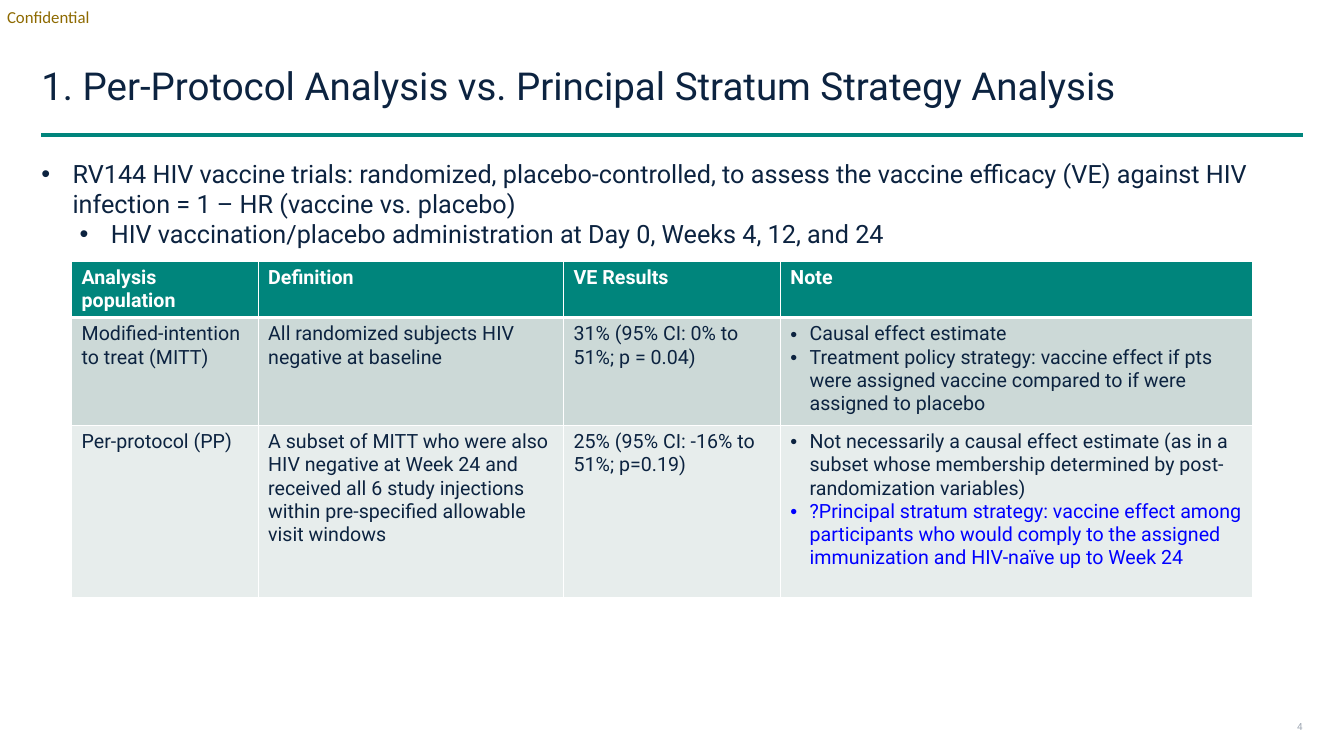
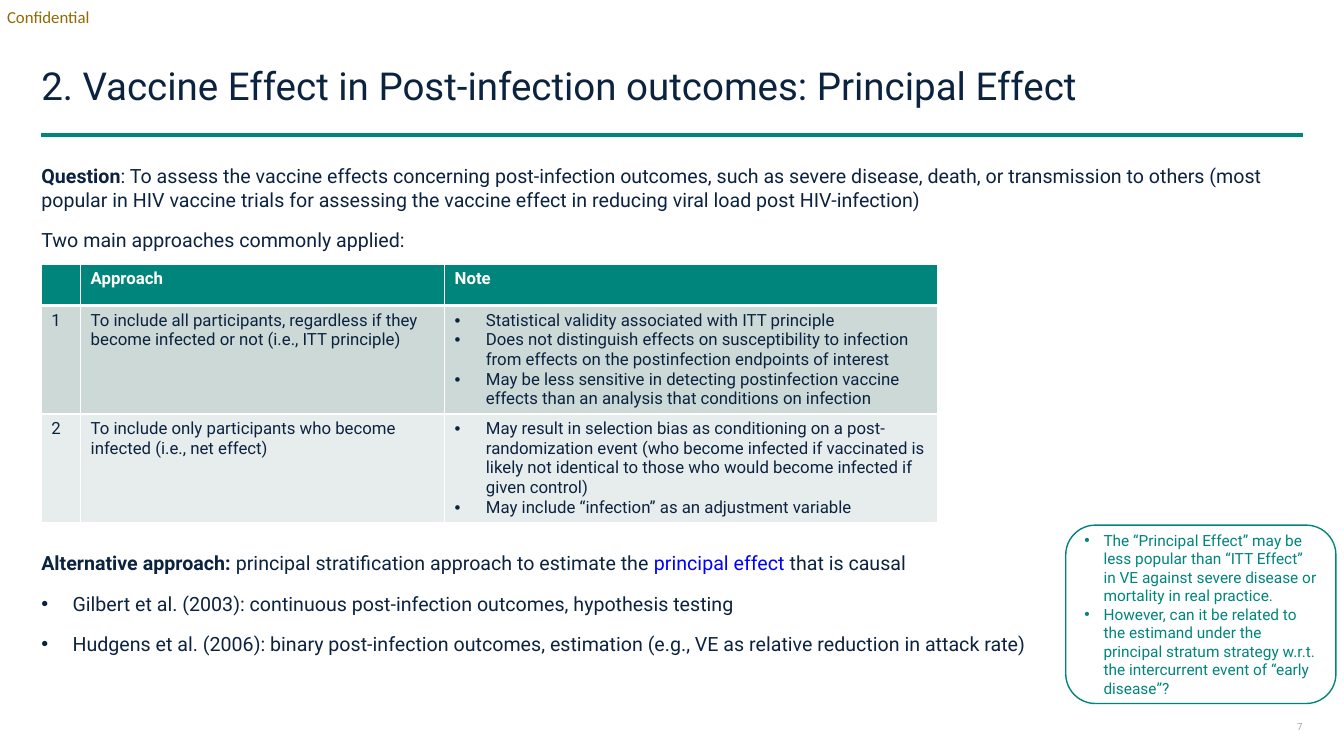
from dataclasses import dataclass

from lxml.etree import SubElement
from pptx import Presentation
from pptx.dml.color import RGBColor
from pptx.enum.shapes import MSO_CONNECTOR, MSO_SHAPE
from pptx.enum.text import MSO_ANCHOR, MSO_AUTO_SIZE, PP_ALIGN
from pptx.oxml.ns import qn
from pptx.util import Pt

PX = 9144  # one hundredth of an inch
SLIDE_WIDTH, SLIDE_HEIGHT = 1333, 750
LEFT, CONTENT_WIDTH = 41, 1251
TITLE_ONLY = 5

TEAL = RGBColor(0x00, 0x85, 0x7C)
NAVY = RGBColor(0x0C, 0x23, 0x40)
GOLD = RGBColor(0x8E, 0x6A, 0x00)
GRAY = RGBColor(0x9E, 0xA7, 0xB3)
BLUE = RGBColor(0x00, 0x00, 0xFF)
WHITE = RGBColor(0xFF, 0xFF, 0xFF)
BAND_FILLS = (RGBColor(0xCC, 0xD9, 0xD7), RGBColor(0xE7, 0xED, 0xEC))

NO_MARGINS = dict.fromkeys(("margin_left", "margin_top", "margin_right", "margin_bottom"), 0)
BODY_FRAME = {"word_wrap": True, "auto_size": MSO_AUTO_SIZE.NONE, **NO_MARGINS}
MIDDLE_FRAME = {**BODY_FRAME, "vertical_anchor": MSO_ANCHOR.MIDDLE}


@dataclass
class Line:
    """One paragraph: runs are (text, font overrides) pairs; a hang adds a bullet."""
    runs: list
    before: int = 0
    indent: int = 0
    hang: int = 0
    align: PP_ALIGN = PP_ALIGN.LEFT
    spacing: float = 1.0


def plain(text, **options):
    return Line([(text, {})], **options)


def bullet(text, hang, indent=None, before=0, **font):
    return Line([(text, font)], before, indent or hang, hang)


def box(left, top, width, height):
    return [length * PX for length in (left, top, width, height)]


def set_values(target, values):
    for name, value in values.items():
        setattr(target, name, value)


def format_font(font, size=14, color=NAVY, name="Roboto", bold=False):
    set_values(font, {"size": Pt(size), "name": name, "bold": bold})
    font.color.rgb = color


def add_bullet(paragraph, line):
    properties = paragraph._p.get_or_add_pPr()
    properties.set("marL", str(line.indent * PX))
    properties.set("indent", str(-line.hang * PX))
    SubElement(properties, qn("a:buFont"), typeface="Arial")
    SubElement(properties, qn("a:buChar"), char="•")


def fill_text(frame, lines, **font):
    for index, line in enumerate(lines):
        paragraph = frame.add_paragraph() if index else frame.paragraphs[0]
        set_values(paragraph, {"alignment": line.align, "line_spacing": line.spacing,
                               "space_before": Pt(line.before)})
        if line.hang:
            add_bullet(paragraph, line)
        for text, changes in line.runs:
            run = paragraph.add_run()
            run.text = text
            format_font(run.font, **{**font, **changes})


def add_text(slide, place, lines, frame_format=BODY_FRAME, **font):
    frame = slide.shapes.add_textbox(*box(*place)).text_frame
    set_values(frame, frame_format)
    fill_text(frame, lines, **font)


def add_rule(slide):
    left, top, right, bottom = box(LEFT, 134, LEFT + CONTENT_WIDTH, 134)
    rule = slide.shapes.add_connector(MSO_CONNECTOR.STRAIGHT, left, top, right, bottom)
    rule.line.color.rgb = TEAL
    rule.line.width = Pt(2.5)
    SubElement(rule._element.spPr, qn("a:effectLst"))


def add_base_slide(presentation, title, number):
    slide = presentation.slides.add_slide(presentation.slide_layouts[TITLE_ONLY])
    add_rule(slide)
    add_text(slide, (7, 7, 86, 20), [plain("Confidential")],
             size=12, color=GOLD, name="Calibri")
    placeholder = slide.shapes.title
    places = box(LEFT, 41, CONTENT_WIDTH, 93)
    set_values(placeholder, dict(zip(("left", "top", "width", "height"), places)))
    set_values(placeholder.text_frame, MIDDLE_FRAME)
    fill_text(placeholder.text_frame, [plain(title, spacing=0.9)], size=27.5)
    add_text(slide, (1267, 709, 25, 24), [plain(str(number), align=PP_ALIGN.RIGHT)],
             MIDDLE_FRAME, size=7, color=GRAY)
    return slide


def set_borders(cell, is_header):
    properties = cell._tc.get_or_add_tcPr()
    for side in "LRTB":
        width = Pt(3) if is_header and side == "B" else Pt(1)
        border = SubElement(properties, qn(f"a:ln{side}"), w=str(width))
        fill = SubElement(border, qn("a:solidFill"))
        SubElement(fill, qn("a:srgbClr"), val=str(WHITE))


def add_table(slide, left, top, widths, heights, rows, size):
    """Cells hold a text or a list of Lines; the first row is the header."""
    place = box(left, top, sum(widths), sum(heights))
    table = slide.shapes.add_table(len(rows), len(widths), *place).table
    for column, width in zip(table.columns, widths):
        column.width = width * PX
    for row_index, (height, contents) in enumerate(zip(heights, rows)):
        is_header = row_index == 0
        table.rows[row_index].height = height * PX
        for column_index, content in enumerate(contents):
            cell = table.cell(row_index, column_index)
            set_borders(cell, is_header)
            cell.fill.solid()
            cell.fill.fore_color.rgb = TEAL if is_header else BAND_FILLS[row_index - 1]
            lines = [plain(content)] if isinstance(content, str) else content
            fill_text(cell.text_frame, lines, size=size, bold=is_header,
                      color=WHITE if is_header else NAVY)


def add_callout(slide, place, lines):
    callout = slide.shapes.add_shape(MSO_SHAPE.ROUNDED_RECTANGLE, *box(*place))
    callout.shadow.inherit = False
    callout.fill.background()
    callout.line.color.rgb = TEAL
    callout.line.width = Pt(1)
    set_values(callout.text_frame, {"word_wrap": True, "vertical_anchor": MSO_ANCHOR.MIDDLE})
    fill_text(callout.text_frame, lines, size=11, color=TEAL)


def add_analysis_slide(presentation):
    slide = add_base_slide(
        presentation, "1. Per-Protocol Analysis vs. Principal Stratum Strategy Analysis", 4)
    add_text(slide, (LEFT, 157, CONTENT_WIDTH, 95), [
        bullet("RV144 HIV vaccine trials: randomized, placebo-controlled, to assess the vaccine "
               "efficacy (VE) against HIV infection = 1 – HR (vaccine vs. placebo)", 31, before=12),
        bullet("HIV vaccination/placebo administration at Day 0, Weeks 4, 12, and 24", 31, 69),
    ], size=18)
    add_table(slide, 71, 259, (185, 303, 215, 468), (55, 107, 171), [
        ("Analysis population", "Definition", "VE Results", "Note"),
        ("Modified-intention to treat (MITT)",
         "All randomized subjects HIV negative at baseline",
         "31% (95% CI: 0% to 51%; p = 0.04)",
         [bullet("Causal effect estimate", 19),
          bullet("Treatment policy strategy: vaccine effect if pts were assigned vaccine "
                 "compared to if were assigned to placebo", 19)]),
        ("Per-protocol (PP)",
         "A subset of MITT who were also HIV negative at Week 24 and received all 6 study "
         "injections within pre-specified allowable visit windows",
         "25% (95% CI: -16% to 51%; p=0.19)",
         [bullet("Not necessarily a causal effect estimate (as in a subset whose membership "
                 "determined by post-randomization variables)", 19),
          bullet("?Principal stratum strategy: vaccine effect among participants who would "
                 "comply to the assigned immunization and HIV-naïve up to Week 24",
                 19, color=BLUE)]),
    ], size=14)


def add_principal_effect_slide(presentation):
    slide = add_base_slide(
        presentation, "2. Vaccine Effect in Post-infection outcomes: Principal Effect", 7)
    add_text(slide, (LEFT, 163, 1242, 90), [
        Line([("Question", {"bold": True}),
              (": To assess the vaccine effects concerning post-infection outcomes, such as "
               "severe disease, death, or transmission to others (most popular in HIV vaccine "
               "trials for assessing the vaccine effect in reducing viral load post "
               "HIV-infection)", {})], before=12),
        plain("Two main approaches commonly applied:", before=12),
    ])
    add_table(slide, LEFT, 262, (39, 361, 489), (41, 107, 107), [
        ("", "Approach", "Note"),
        ("1",
         "To include all participants, regardless if they become infected or not "
         "(i.e., ITT principle)",
         [bullet("Statistical validity associated with ITT principle", 31),
          bullet("Does not distinguish effects on susceptibility to infection from effects on "
                 "the postinfection endpoints of interest", 31),
          bullet("May be less sensitive in detecting postinfection vaccine effects than an "
                 "analysis that conditions on infection", 31)]),
        ("2",
         "To include only participants who become infected (i.e., net effect)",
         [bullet("May result in selection bias as conditioning on a post-randomization event "
                 "(who become infected if vaccinated is likely not identical to those who "
                 "would become infected if given control)", 31),
          bullet("May include “infection” as an adjustment variable", 31)]),
    ], size=12)
    add_text(slide, (LEFT, 547, 1000, 115), [
        Line([("Alternative approach: ", {"bold": True}),
              ("principal stratification approach to estimate the ", {}),
              ("principal effect ", {"color": BLUE}),
              ("that is causal", {})], before=12),
        bullet("Gilbert et al. (2003): continuous post-infection outcomes, hypothesis testing",
               31, before=12),
        bullet("Hudgens et al. (2006): binary post-infection outcomes, estimation (e.g., VE as "
               "relative reduction in attack rate)", 31, before=12),
    ])
    add_callout(slide, (1057, 521, 268, 177), [
        bullet("The “Principal Effect” may be less popular than “ITT Effect” in VE against "
               "severe disease or mortality in real practice.", 19),
        bullet("However, can it be related to the estimand under the principal stratum strategy "
               "w.r.t. the intercurrent event of “early disease”?", 19),
    ])


def main():
    presentation = Presentation()
    presentation.slide_width = SLIDE_WIDTH * PX
    presentation.slide_height = SLIDE_HEIGHT * PX
    add_analysis_slide(presentation)
    add_principal_effect_slide(presentation)
    presentation.save("out.pptx")


if __name__ == "__main__":
    main()
